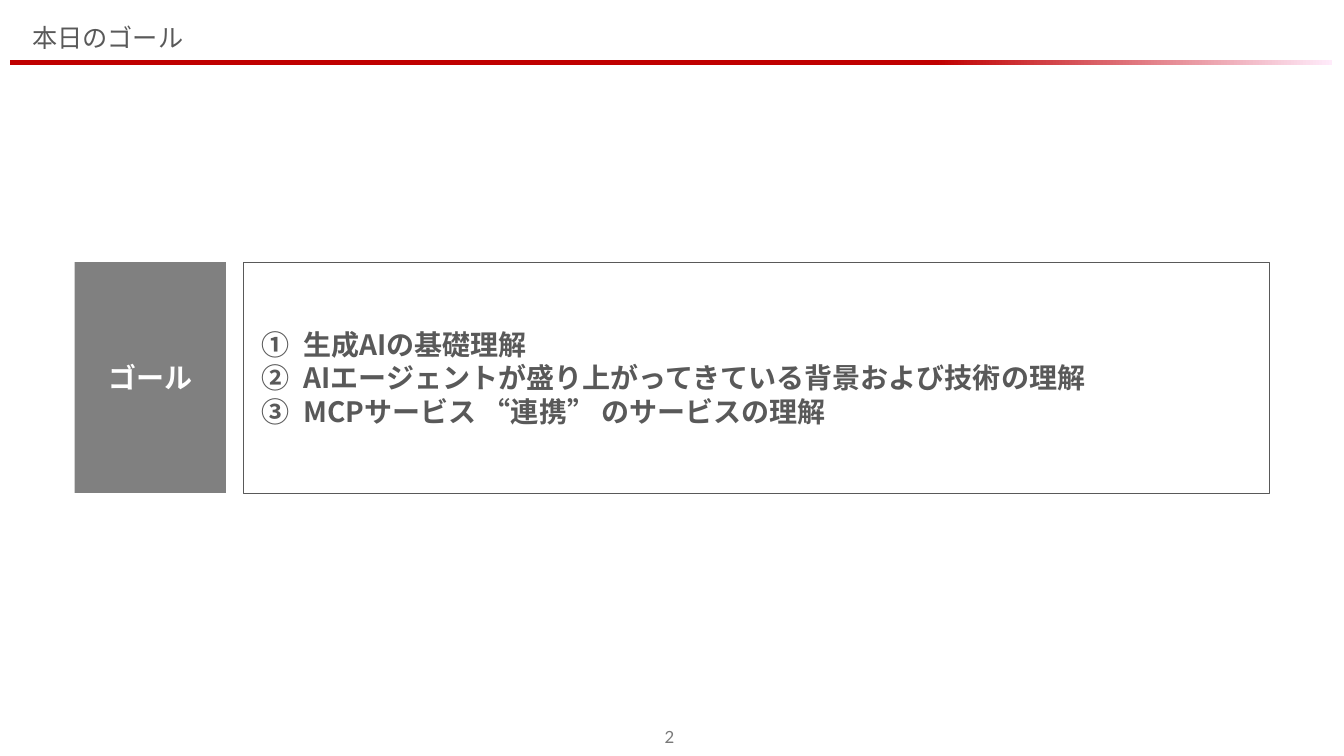
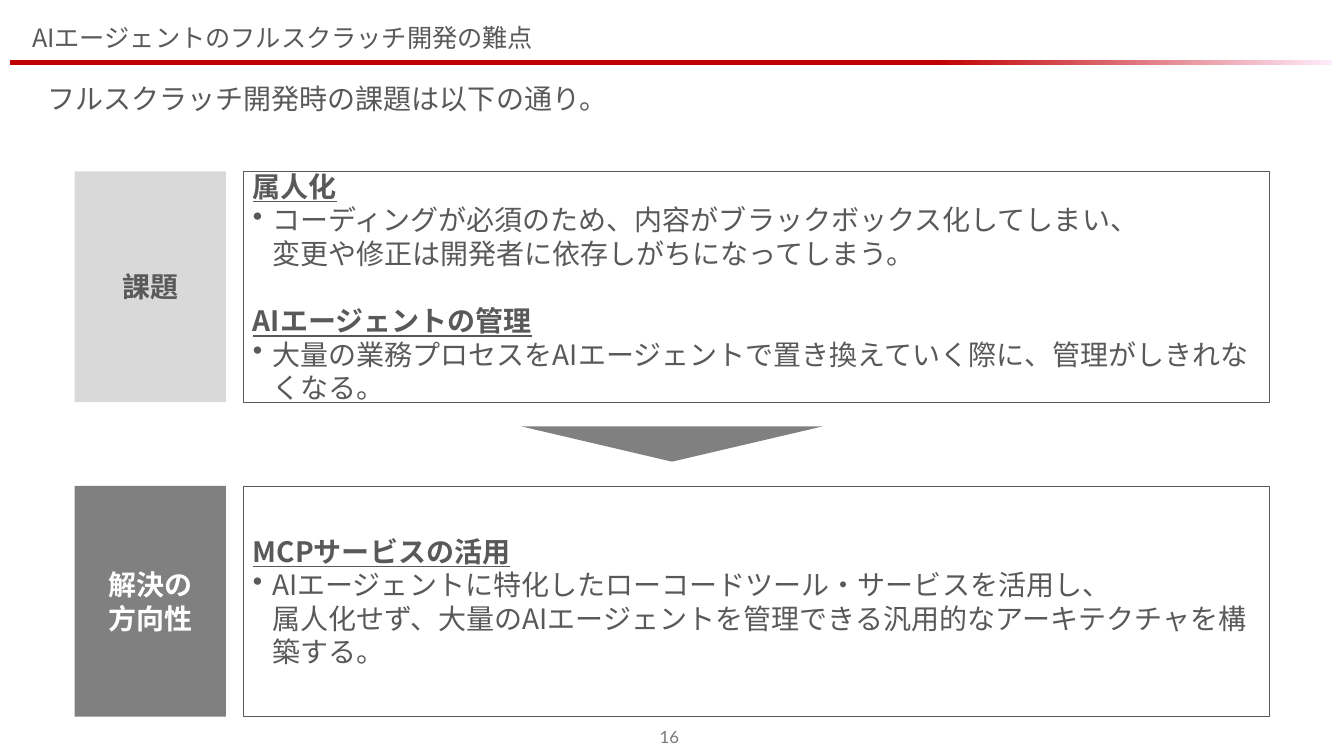
from lxml.etree import SubElement
from pptx import Presentation
from pptx.dml.color import RGBColor
from pptx.enum.shapes import MSO_SHAPE
from pptx.enum.text import MSO_ANCHOR, PP_ALIGN
from pptx.oxml.ns import qn
from pptx.util import Inches, Pt

RED = RGBColor(0xC0, 0x00, 0x00)
PALE_PINK = RGBColor(0xFF, 0xEB, 0xFA)
WHITE = RGBColor(0xFF, 0xFF, 0xFF)
LIGHT_GRAY = RGBColor(0xD9, 0xD9, 0xD9)
MID_GRAY = RGBColor(0x80, 0x80, 0x80)
PAGE_GRAY = RGBColor(0x79, 0x79, 0x79)
INK = RGBColor(0x59, 0x59, 0x59)
JAPANESE_FONT = "Noto Sans CJK JP"
PAGE_FONT = "Lato"

LABEL_LEFT, LABEL_WIDTH = 0.74, 1.5
BODY_LEFT, BODY_WIDTH = 2.41, 10.18
ROW_HEIGHT = 2.29
LINE_PITCH = Pt(24)

# style: (bold, underline, left indent, hanging indent, bullet tag, bullet attributes)
STYLES = {
    "plain": (False, False, 0, 0, None, {}),
    "label": (True, False, 0, 0, None, {}),
    "heading": (True, True, 0, 0, None, {}),
    "bullet": (False, False, 0.19, -0.19, "a:buChar", {"char": "•"}),
    "numbered": (True, False, 0.5, -0.41, "a:buAutoNum", {"type": "circleNumDbPlain"}),
}

SLIDES = [
    {
        "title": "本日のゴール",
        "page": "2",
        "rows": [
            (2.6, MID_GRAY, WHITE, ["ゴール"], [
                ("numbered", "生成AIの基礎理解"),
                ("numbered", "AIエージェントが盛り上がってきている背景および技術の理解"),
                ("numbered", "MCPサービス “連携” のサービスの理解"),
            ]),
        ],
    },
    {
        "title": "AIエージェントのフルスクラッチ開発の難点",
        "page": "16",
        "lead": "フルスクラッチ開発時の課題は以下の通り。",
        "rows": [
            (1.7, LIGHT_GRAY, INK, ["課題"], [
                ("heading", "属人化"),
                ("bullet", "コーディングが必須のため、内容がブラックボックス化してしまい、\n"
                           "変更や修正は開発者に依存しがちになってしまう。"),
                ("heading", "AIエージェントの管理"),
                ("bullet", "大量の業務プロセスをAIエージェントで置き換えていく際に、"
                           "管理がしきれなくなる。"),
            ]),
            (4.82, MID_GRAY, WHITE, ["解決の", "方向性"], [
                ("heading", "MCPサービスの活用"),
                ("bullet", "AIエージェントに特化したローコードツール・サービスを活用し、\n"
                           "属人化せず、大量のAIエージェントを管理できる"
                           "汎用的なアーキテクチャを構築する。"),
            ]),
        ],
    },
]


def write(shape, paragraphs, size=20, color=INK, font=JAPANESE_FONT,
          align=PP_ALIGN.LEFT, anchor=MSO_ANCHOR.MIDDLE, pitch=LINE_PITCH):
    """Fill a shape with (style, text) paragraphs; a newline is a line break."""
    frame = shape.text_frame
    frame.word_wrap = True
    frame.vertical_anchor = anchor
    for index, (style, text) in enumerate(paragraphs):
        bold, underline, indent, hanging, bullet, bullet_attributes = STYLES[style]
        paragraph = frame.add_paragraph() if index else frame.paragraphs[0]
        paragraph.alignment = align
        paragraph.line_spacing = pitch
        if index and style == "heading":
            paragraph.space_before = LINE_PITCH
        if bullet:
            properties = paragraph._p.get_or_add_pPr()
            properties.set("marL", str(Inches(indent)))
            properties.set("indent", str(Inches(hanging)))
            SubElement(properties, qn(bullet), bullet_attributes)
        for line_number, line in enumerate(text.split("\n")):
            if line_number:
                paragraph.add_line_break()
            run = paragraph.add_run()
            run.text = line
            run.font.size = Pt(size)
            run.font.bold = bold
            run.font.underline = underline
            run.font.color.rgb = color
            run.font.name = font
            SubElement(run._r.get_or_add_rPr(), qn("a:ea"), typeface=font)


def add_block(slide, left, top, width, height, fill=None, line=None, preset=MSO_SHAPE.RECTANGLE):
    block = slide.shapes.add_shape(
        preset, Inches(left), Inches(top), Inches(width), Inches(height))
    block.shadow.inherit = False
    if fill is None:
        block.fill.background()
    else:
        block.fill.solid()
        block.fill.fore_color.rgb = fill
    if line is None:
        block.line.fill.background()
    else:
        block.line.color.rgb = line
        block.line.width = Pt(0.5)
    return block


deck = Presentation()
deck.slide_width, deck.slide_height = Inches(13.33), Inches(7.5)

for content in SLIDES:
    slide = deck.slides.add_slide(deck.slide_layouts[6])

    title_band = add_block(slide, 0.1, 0.6, 13.11, 0.05, RED)
    title_band.fill.gradient()
    title_band.fill.gradient_angle = 0
    for stop, (position, color) in zip(title_band.fill.gradient_stops,
                                       [(0.7, RED), (1, PALE_PINK)]):
        stop.position = position
        stop.color.rgb = color

    title = slide.shapes.add_textbox(Inches(0.22), Inches(0.17), Inches(12.56), Inches(0.41))
    write(title, [("plain", content["title"])], size=18, pitch=None)

    if "lead" in content:
        lead = slide.shapes.add_textbox(Inches(0.37), Inches(0.76), Inches(12.6), Inches(1.1))
        write(lead, [("plain", content["lead"])], anchor=MSO_ANCHOR.TOP)

    for top, label_fill, label_color, label_lines, body_paragraphs in content["rows"]:
        label = add_block(slide, LABEL_LEFT, top, LABEL_WIDTH, ROW_HEIGHT, label_fill)
        write(label, [("label", line) for line in label_lines],
              color=label_color, align=PP_ALIGN.CENTER)
        body = add_block(slide, BODY_LEFT, top, BODY_WIDTH, ROW_HEIGHT, line=INK)
        write(body, body_paragraphs)

    if len(content["rows"]) > 1:
        add_block(slide, 5.17, 4.23, 2.99, 0.35, MID_GRAY, preset=MSO_SHAPE.FLOWCHART_MERGE)

    page = slide.shapes.add_textbox(Inches(5.25), Inches(7.06), Inches(2.78), Inches(0.5))
    write(page, [("plain", content["page"])], size=12, color=PAGE_GRAY, font=PAGE_FONT,
          align=PP_ALIGN.CENTER, pitch=None)

deck.save("out.pptx")
